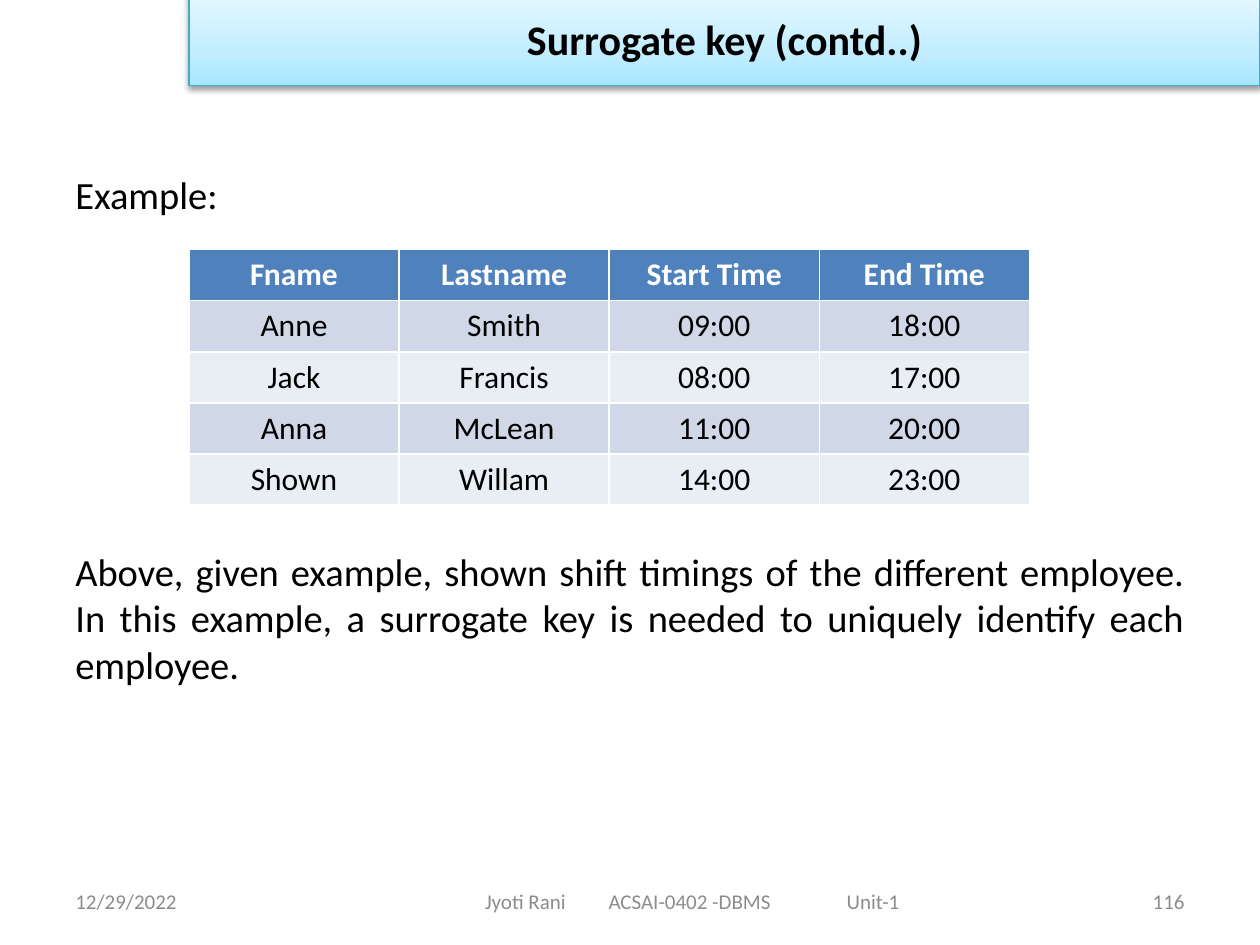
from lxml import etree
from pptx import Presentation
from pptx.dml.color import RGBColor
from pptx.enum.text import MSO_ANCHOR, PP_ALIGN
from pptx.util import Inches, Pt

LEFT, MID, RIGHT, FULL = PP_ALIGN.LEFT, PP_ALIGN.CENTER, PP_ALIGN.RIGHT, PP_ALIGN.JUSTIFY
TOP, CENTER = MSO_ANCHOR.TOP, MSO_ANCHOR.MIDDLE
NS = "http://schemas.openxmlformats.org/drawingml/2006/main"
HEX = {
    "black": "000000", "white": "FFFFFF", "grey": "8C8C8C", "edge": "46AAC5",
    "head": "4F81BD", "odd": "D0D8E8", "even": "E9EDF4",
}
STOPS = [(0, "A7E6FF"), (35, "C1EDFF"), (100, "E7F8FF")]
ROWS = [
    ["Fname", "Lastname", "Start Time", "End Time"],
    ["Anne", "Smith", "09:00", "18:00"],
    ["Jack", "Francis", "08:00", "17:00"],
    ["Anna", "McLean", "11:00", "20:00"],
    ["Shown", "Willam", "14:00", "23:00"],
]
BODY = [
    "Example:",
    "Above, given example, shown shift timings of the different employee. "
    "In this example, a surrogate key is needed to uniquely identify each employee.",
]


def rgb(name):
    return RGBColor.from_string(HEX[name])


def style(frame, size, color, align, bold=False):
    for para in frame.paragraphs:
        para.alignment = align
        for run in para.runs:
            font = run.font
            font.name, font.size, font.bold = "Calibri", Pt(size), bold
            font.color.rgb = rgb(color)


def add_text(slide, box, text, size, color, align, anchor=CENTER):
    frame = slide.shapes.add_textbox(*map(Inches, box)).text_frame
    frame.word_wrap = True
    frame.vertical_anchor = anchor
    frame.text = text
    style(frame, size, color, align)
    return frame


def add_title(slide, text):
    title = slide.shapes.title
    title.left, title.top = Inches(1.5), Inches(-0.07)
    title.width, title.height = Inches(8.5), Inches(0.75)
    stops = "".join(
        f'<a:gs pos="{pos * 1000}"><a:srgbClr val="{color}"/></a:gs>' for pos, color in STOPS
    )
    props = title.element.spPr
    props.append(etree.fromstring(
        f'<a:gradFill xmlns:a="{NS}" rotWithShape="1"><a:gsLst>{stops}</a:gsLst>'
        '<a:lin ang="16200000" scaled="1"/></a:gradFill>'
    ))
    title.line.color.rgb = rgb("edge")
    title.line.width = Pt(0.75)
    props.append(etree.fromstring(
        f'<a:effectLst xmlns:a="{NS}"><a:outerShdw blurRad="{Pt(3.1)}" dist="{Pt(1.6)}" '
        'dir="5400000" rotWithShape="0"><a:srgbClr val="000000"><a:alpha val="38000"/>'
        '</a:srgbClr></a:outerShdw></a:effectLst>'
    ))
    frame = title.text_frame
    frame.text = text
    frame.vertical_anchor = CENTER
    style(frame, 24, "black", MID, True)


def add_grid(slide, rows):
    box = map(Inches, (1.5, 1.98, 6.67, 2.03))
    table = slide.shapes.add_table(len(rows), len(rows[0]), *box).table
    for r, row in enumerate(rows):
        fill = "head" if r == 0 else "odd" if r % 2 else "even"
        for c, text in enumerate(row):
            cell = table.cell(r, c)
            cell.fill.solid()
            cell.fill.fore_color.rgb = rgb(fill)
            cell.vertical_anchor = CENTER
            cell.text_frame.text = text
            style(cell.text_frame, 18, "black" if r else "white", MID, r == 0)


def add_footer(slide):
    add_text(slide, (0.5, 6.95, 2.33, 0.4), "12/29/2022", 12, "grey", LEFT)
    frame = add_text(slide, (2.75, 6.95, 5.5, 0.4),
                     "Jyoti Rani\tACSAI-0402 -DBMS\tUnit-1", 12, "grey", LEFT)
    frame.margin_left = Inches(1.1)
    tabs = etree.SubElement(frame.paragraphs[0]._p.get_or_add_pPr(), f"{{{NS}}}tabLst")
    for pos in (0.98, 2.87):
        etree.SubElement(tabs, f"{{{NS}}}tab", pos=str(Inches(pos)), algn="l")
    add_text(slide, (7.17, 6.95, 2.33, 0.4), "116", 12, "grey", RIGHT)


def main():
    deck = Presentation()
    deck.slide_width, deck.slide_height = Inches(10), Inches(7.5)
    slide = deck.slides.add_slide(deck.slide_layouts[5])
    add_footer(slide)
    add_title(slide, "Surrogate key (contd..)")
    body = add_text(slide, (0.5, 1.31, 9, 5.39), "\n".join(BODY), 22, "black", FULL, TOP)
    body.paragraphs[1].space_before = Pt(189)
    add_grid(slide, ROWS)
    deck.save("out.pptx")


if __name__ == "__main__":
    main()
